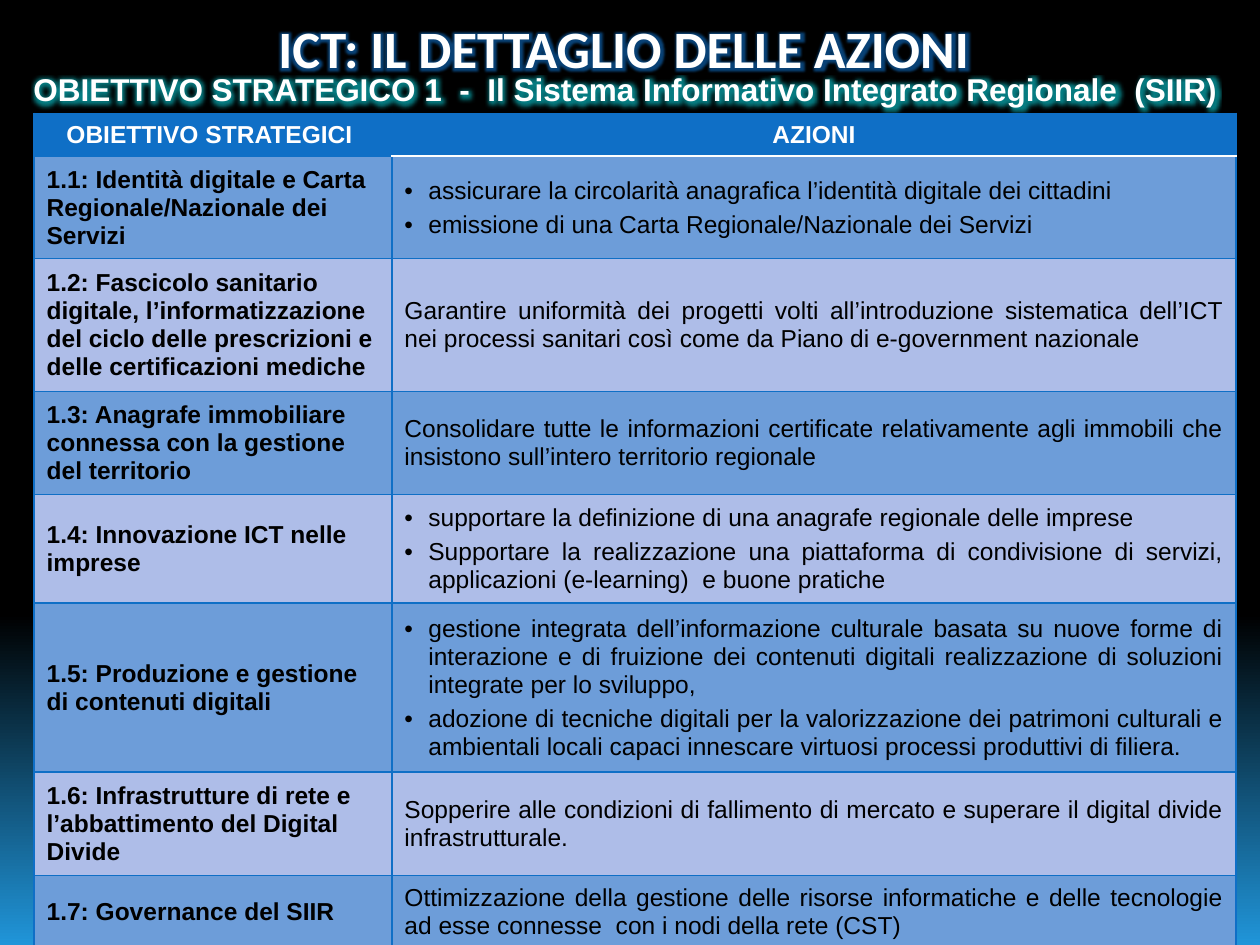
from pptx import Presentation
from pptx.dml.color import RGBColor
from pptx.enum.text import MSO_ANCHOR, MSO_AUTO_SIZE, PP_ALIGN
from pptx.oxml import parse_xml
from pptx.oxml.ns import nsdecls
from pptx.util import Inches, Pt

THEME = dict(
    white="FFFFFF", black="000000", blue="0F6FC6", dark="6D9DD9", light="AEBDE8",
    sky="2095D9", glow="0F6FC6", teal="0BD0D9",
    head="Calibri", body="Arial", title=30, sub=18, cell=14,
)
WIDTH, HEIGHT = 10, 7.5
TITLE = "ICT: IL DETTAGLIO DELLE AZIONI "
SUB = "OBIETTIVO STRATEGICO 1  -  Il Sistema Informativo Integrato Regionale  (SIIR) "
HEADS = ["OBIETTIVO STRATEGICI ", "AZIONI"]
# goal, actions (bulleted when more than one), row height
ROWS = [
    ("1.1: Identità digitale e Carta Regionale/Nazionale dei Servizi",
     ["assicurare la circolarità anagrafica l’identità digitale dei cittadini ",
      "emissione di una Carta Regionale/Nazionale dei Servizi "], 0.63),
    ("1.2: Fascicolo sanitario digitale, l’informatizzazione del ciclo delle "
     "prescrizioni e delle certificazioni mediche",
     ["Garantire uniformità dei progetti volti all’introduzione sistematica dell’ICT "
      "nei processi sanitari così come da Piano di e-government nazionale"], 1.05),
    ("1.3: Anagrafe immobiliare connessa con la gestione del territorio",
     ["Consolidare tutte le informazioni certificate relativamente agli immobili che "
      "insistono sull’intero territorio regionale "], 0.82),
    ("1.4: Innovazione ICT nelle imprese",
     ["supportare la definizione di una anagrafe regionale delle imprese ",
      "Supportare la realizzazione una piattaforma di condivisione di servizi, "
      "applicazioni (e-learning)  e buone pratiche "], 0.86),
    ("1.5: Produzione e gestione di contenuti digitali",
     ["gestione integrata dell’informazione culturale basata su nuove forme di "
      "interazione e di fruizione dei contenuti digitali realizzazione di soluzioni "
      "integrate per lo sviluppo, ",
      "adozione di tecniche digitali per la valorizzazione dei patrimoni culturali e "
      "ambientali locali capaci innescare virtuosi processi produttivi di filiera. "], 1.34),
    ("1.6: Infrastrutture di rete e l’abbattimento del Digital Divide",
     ["Sopperire alle condizioni di fallimento di mercato e superare il digital divide "
      "infrastrutturale. "], 0.82),
    ("1.7: Governance del SIIR",
     ["Ottimizzazione della gestione delle risorse informatiche e delle tecnologie ad "
      "esse connesse  con i nodi della rete (CST)"], 0.58),
]
COLS = [2.84, 6.7]
LEFT, TOP, HEAD = 0.27, 0.9, 0.34


def paint(slide):
    stops = "".join(
        f'<a:gs pos="{pos * 1000}"><a:srgbClr val="{THEME[name]}"/></a:gs>'
        for pos, name in [(0, "black"), (65, "black"), (100, "sky")])
    slide.element.cSld.insert(0, parse_xml(
        f'<p:bg {nsdecls("p", "a")}><p:bgPr><a:gradFill rotWithShape="1">'
        f'<a:gsLst>{stops}</a:gsLst><a:lin ang="5400000" scaled="0"/></a:gradFill>'
        '<a:effectLst/></p:bgPr></p:bg>'))


def write(para, text, size, color, face="body", bold=False):
    run = para.add_run()
    run.text = text
    font = run.font
    font.size, font.bold, font.name = Pt(THEME[size]), bold, THEME[face]
    font.color.rgb = RGBColor.from_string(THEME[color])
    return run


def banner(slide, text, top, high, size, face, halo):
    """Add a centred full-width line of glowing text."""
    box = slide.shapes.add_textbox(0, Inches(top), Inches(WIDTH), Inches(high))
    frame = box.text_frame
    frame.word_wrap = True
    frame.auto_size = MSO_AUTO_SIZE.SHAPE_TO_FIT_TEXT
    para = frame.paragraphs[0]
    para.alignment = PP_ALIGN.CENTER
    run = write(para, text, size, "white", face, True)
    fill = run.font._element.find(".//{*}solidFill")
    fill.addnext(parse_xml(
        f'<a:effectLst {nsdecls("a")}><a:glow rad="101600">'
        f'<a:srgbClr val="{THEME[halo]}"><a:alpha val="60000"/></a:srgbClr>'
        '</a:glow></a:effectLst>'))


def edge(cell, white=""):
    """Border a cell in blue, except the side named in white."""
    props = cell._tc.get_or_add_tcPr()
    for spot, side in enumerate("LRTB"):
        name, wide = ("white", 1.5) if side == white else ("blue", 0.94)
        props.insert(spot, parse_xml(
            f'<a:ln{side} {nsdecls("a")} w="{Pt(wide)}"><a:solidFill>'
            f'<a:srgbClr val="{THEME[name]}"/></a:solidFill></a:ln{side}>'))


def bullet(para):
    props = para._p.get_or_add_pPr()
    props.set("marL", str(Inches(0.19)))
    props.set("indent", str(-Inches(0.19)))
    for part in (f'<a:buClr {nsdecls("a")}><a:srgbClr val="{THEME["black"]}"/></a:buClr>',
                 f'<a:buFont {nsdecls("a")} typeface="{THEME["body"]}"/>',
                 f'<a:buChar {nsdecls("a")} char="•"/>'):
        props.append(parse_xml(part))


def fill(cell, texts, back, color, align, bold, white=""):
    cell.fill.solid()
    cell.fill.fore_color.rgb = RGBColor.from_string(THEME[back])
    cell.vertical_anchor = MSO_ANCHOR.MIDDLE
    edge(cell, white)
    frame = cell.text_frame
    for spot, text in enumerate(texts):
        para = frame.add_paragraph() if spot else frame.paragraphs[0]
        para.alignment, para.line_spacing, para.space_before = align, 1.02, Pt(3.5)
        if len(texts) > 1:
            bullet(para)
        write(para, text, "cell", color, bold=bold)


def grid(slide):
    highs = [HEAD] + [row[2] for row in ROWS]
    table = slide.shapes.add_table(
        len(highs), len(COLS), Inches(LEFT), Inches(TOP),
        Inches(sum(COLS)), Inches(sum(highs))).table
    for col, wide in zip(table.columns, COLS):
        col.width = Inches(wide)
    for row, high in zip(table.rows, highs):
        row.height = Inches(high)
    for col, text in enumerate(HEADS):
        fill(table.cell(0, col), [text], "blue", "white", PP_ALIGN.CENTER, True,
             "B" if col else "")
    for num, (goal, acts, _) in enumerate(ROWS, 1):
        back = "dark" if num % 2 else "light"
        fill(table.cell(num, 0), [goal], back, "black", PP_ALIGN.LEFT, True)
        fill(table.cell(num, 1), acts, back, "black", PP_ALIGN.JUSTIFY, False,
             "T" if num == 1 else "")


def main():
    deck = Presentation()
    deck.slide_width, deck.slide_height = Inches(WIDTH), Inches(HEIGHT)
    slide = deck.slides.add_slide(deck.slide_layouts[6])
    paint(slide)
    banner(slide, TITLE, 0.08, 0.6, "title", "head", "glow")
    grid(slide)
    banner(slide, SUB, 0.51, 0.4, "sub", "body", "teal")
    deck.save("out.pptx")


if __name__ == "__main__":
    main()
